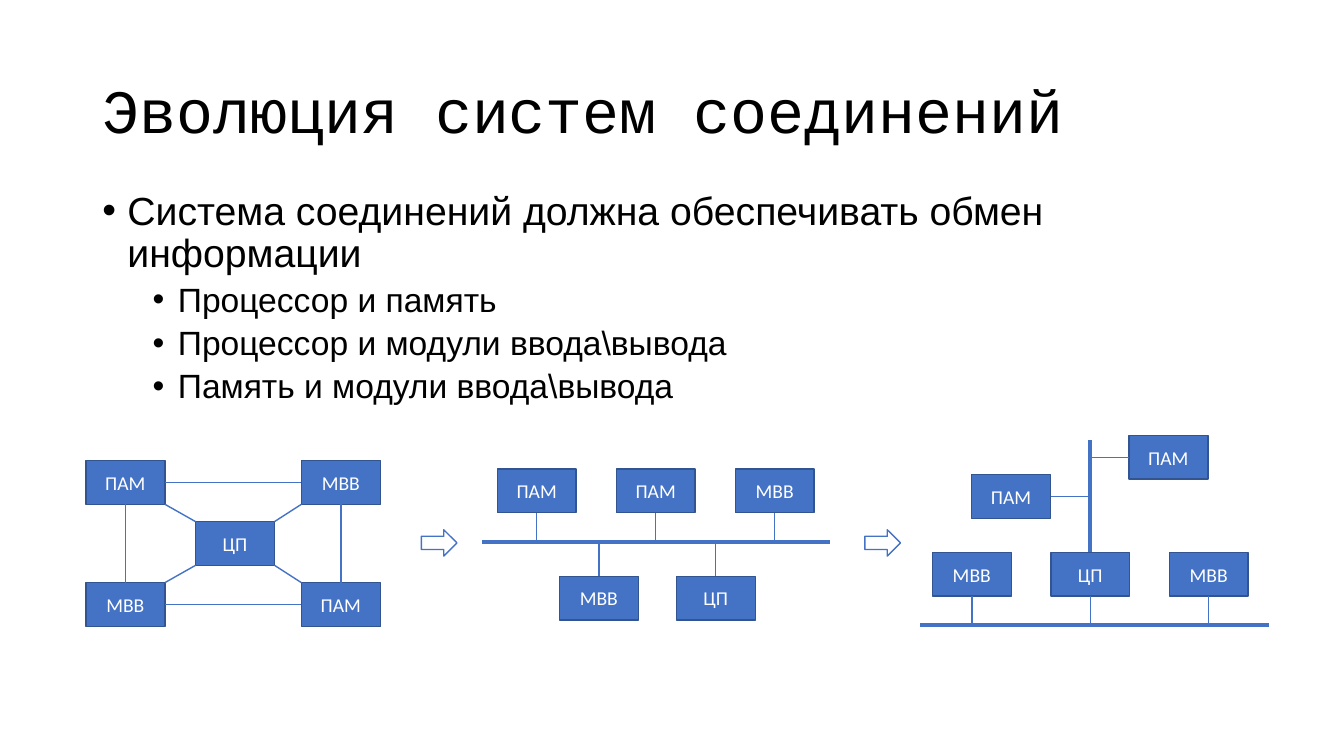
from lxml import etree
from pptx import Presentation
from pptx.dml.color import RGBColor
from pptx.enum.shapes import MSO_CONNECTOR as Connector, MSO_SHAPE as Preset
from pptx.enum.text import MSO_ANCHOR as Anchor, PP_ALIGN as Align
from pptx.oxml.ns import qn
from pptx.util import Pt

BLACK = RGBColor(0x00, 0x00, 0x00)
WHITE = RGBColor(0xFF, 0xFF, 0xFF)
BLUE = RGBColor(0x44, 0x72, 0xC4)
DARK_BLUE = RGBColor(0x32, 0x54, 0x91)

BOX_WIDTH, BOX_HEIGHT = 56.4, 31.2
BUS_LENGTH, BUS_WEIGHT = 249, 3
BOX_STEP = 85  # distance between neighbouring modules on a bus

BULLETS = [
    (0, "Система соединений должна обеспечивать обмен информации"),
    (1, "Процессор и память"),
    (1, "Процессор и модули ввода\\вывода"),
    (1, "Память и модули ввода\\вывода"),
]
# Level: text indent, font size, space before
LEVELS = {0: (18, 28, 0), 1: (54, 24, 5)}


def apply(target, values):
    for name, value in values.items():
        setattr(target, name, value)


def set_font(paragraph, name, size, color):
    apply(paragraph.font, {"name": name, "size": Pt(size)})
    paragraph.font.color.rgb = color


def place(shape, left, top, width, height):
    apply(shape, {"left": Pt(left), "top": Pt(top),
                  "width": Pt(width), "height": Pt(height)})


def add_title(slide, text):
    title = slide.shapes.title
    place(title, 66, 28.8, 828, 104.4)
    title.text_frame.text = text
    title.text_frame.vertical_anchor = Anchor.MIDDLE
    paragraph = title.text_frame.paragraphs[0]
    apply(paragraph, {"alignment": Align.LEFT, "line_spacing": 0.9})
    set_font(paragraph, "Courier New", 44, BLACK)


def add_bullets(slide, items):
    frame = slide.shapes.add_textbox(Pt(66), Pt(133.2), Pt(828), Pt(157)).text_frame
    frame.word_wrap = True
    for index, (level, text) in enumerate(items):
        paragraph = frame.add_paragraph() if index else frame.paragraphs[0]
        indent, size, space = LEVELS[level]
        properties = paragraph._p.get_or_add_pPr()
        properties.set("marL", str(Pt(indent)))
        properties.set("indent", str(Pt(-18)))
        font = etree.SubElement(properties, qn("a:buFont"))
        font.set("typeface", "Arial")
        bullet = etree.SubElement(properties, qn("a:buChar"))
        bullet.set("char", "•")
        apply(paragraph, {"text": text, "level": level, "line_spacing": 0.9,
                          "space_before": Pt(space)})
        set_font(paragraph, "Arial", size, BLACK)


def add_preset(shapes, preset, left, top, width, height, fill, outline):
    shape = shapes.add_shape(preset, Pt(left), Pt(top), Pt(width), Pt(height))
    shape.shadow.inherit = False
    shape.fill.solid()
    shape.fill.fore_color.rgb = fill
    shape.line.color.rgb = outline
    shape.line.width = Pt(1)
    return shape


def add_module(shapes, label, left, top):
    module = add_preset(shapes, Preset.RECTANGLE, left, top,
                        BOX_WIDTH, BOX_HEIGHT, BLUE, DARK_BLUE)
    module.text_frame.text = label
    module.text_frame.vertical_anchor = Anchor.MIDDLE
    paragraph = module.text_frame.paragraphs[0]
    paragraph.alignment = Align.CENTER
    set_font(paragraph, "Calibri", 14, WHITE)


def add_line(shapes, x1, y1, x2, y2, weight=1):
    line = shapes.add_connector(Connector.STRAIGHT, Pt(x1), Pt(y1), Pt(x2), Pt(y2))
    line.line.color.rgb = BLUE
    line.line.width = Pt(weight)
    etree.SubElement(line._element.spPr, qn("a:effectLst"))


def add_bus_row(shapes, labels, left, top, bus_y, step=BOX_STEP):
    """Row of modules, each joined to a horizontal bus above or below it."""
    edge = top + BOX_HEIGHT if top < bus_y else top
    for index, label in enumerate(labels):
        x = left + index * step
        add_module(shapes, label, x, top)
        add_line(shapes, x + BOX_WIDTH / 2, edge, x + BOX_WIDTH / 2, bus_y)


def add_direct_links(shapes):
    left, right, top, bottom = 61.4, 215.3, 329, 416.2
    center_x, center_y = 139.7, 372.6
    for label, x, y in [("ПАМ", left, top), ("МВВ", left, bottom),
                        ("МВВ", right, top), ("ПАМ", right, bottom),
                        ("ЦП", center_x, center_y)]:
        add_module(shapes, label, x, y)
    # Sides of the square
    for y in (top, bottom):
        middle = y + BOX_HEIGHT / 2
        add_line(shapes, left + BOX_WIDTH, middle, right, middle)
    for x in (left, right):
        middle = x + BOX_WIDTH / 2
        add_line(shapes, middle, top + BOX_HEIGHT, middle, bottom)
    # Diagonals from the processor to the corners
    for x, center_edge in ((left + BOX_WIDTH, center_x),
                           (right, center_x + BOX_WIDTH)):
        add_line(shapes, x, top + BOX_HEIGHT, center_edge, center_y)
        add_line(shapes, x, bottom, center_edge, center_y + BOX_HEIGHT)


def add_single_bus(shapes):
    bus_left, bus_y = 344.2, 387.4
    add_bus_row(shapes, ["МВВ", "ЦП"], 399.6, 411.6, bus_y, 83.5)
    add_bus_row(shapes, ["ПАМ", "ПАМ", "МВВ"], 355.2, 335, bus_y)
    add_line(shapes, bus_left, bus_y, bus_left + BUS_LENGTH, bus_y, BUS_WEIGHT)


def add_two_buses(shapes):
    bus_left, bus_y, row_top = 657.4, 446.4, 394.6
    memory_bus_x = 778.5
    # Input and output bus
    add_bus_row(shapes, ["МВВ", "ЦП", "МВВ"], 666, row_top, bus_y, 84.6)
    add_line(shapes, bus_left, bus_y, bus_left + BUS_LENGTH, bus_y, BUS_WEIGHT)
    # Memory bus
    add_line(shapes, memory_bus_x, 314.6, memory_bus_x, row_top, BUS_WEIGHT)
    for left, top in ((694, 339), (806.4, 311)):
        add_module(shapes, "ПАМ", left, top)
        edge = left + BOX_WIDTH if left < memory_bus_x else left
        middle = top + BOX_HEIGHT / 2
        add_line(shapes, edge, middle, memory_bus_x, middle)


def main():
    presentation = Presentation()
    apply(presentation, {"slide_width": Pt(960), "slide_height": Pt(540)})
    slide = presentation.slides.add_slide(presentation.slide_layouts[5])

    add_title(slide, "Эволюция систем соединений")
    add_bullets(slide, BULLETS)

    # Three stages, each in its own group
    for add_stage in (add_direct_links, add_single_bus, add_two_buses):
        add_stage(slide.shapes.add_group_shape().shapes)

    # Arrows between the stages
    for left in (301, 617.8):
        add_preset(slide.shapes, Preset.RIGHT_ARROW, left, 378.4, 25.4, 18.8,
                   WHITE, BLUE)

    presentation.save("out.pptx")


if __name__ == "__main__":
    main()
